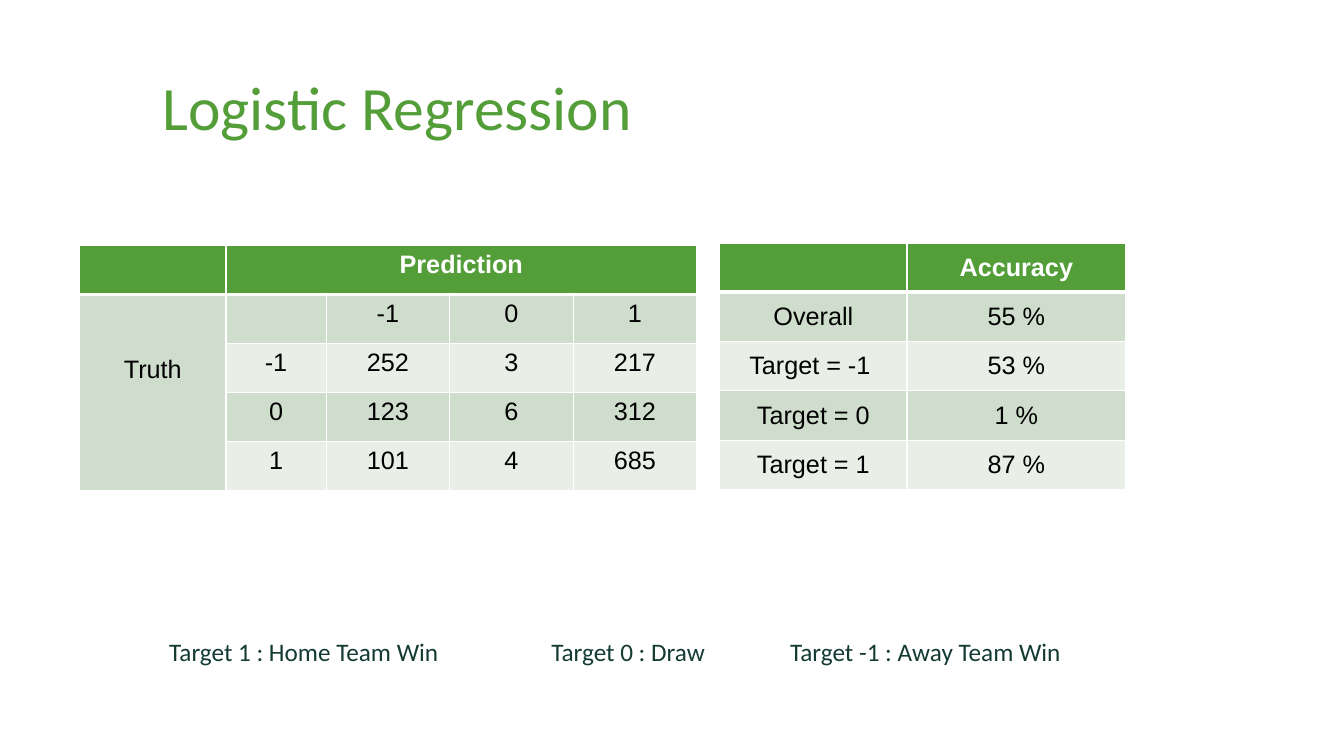
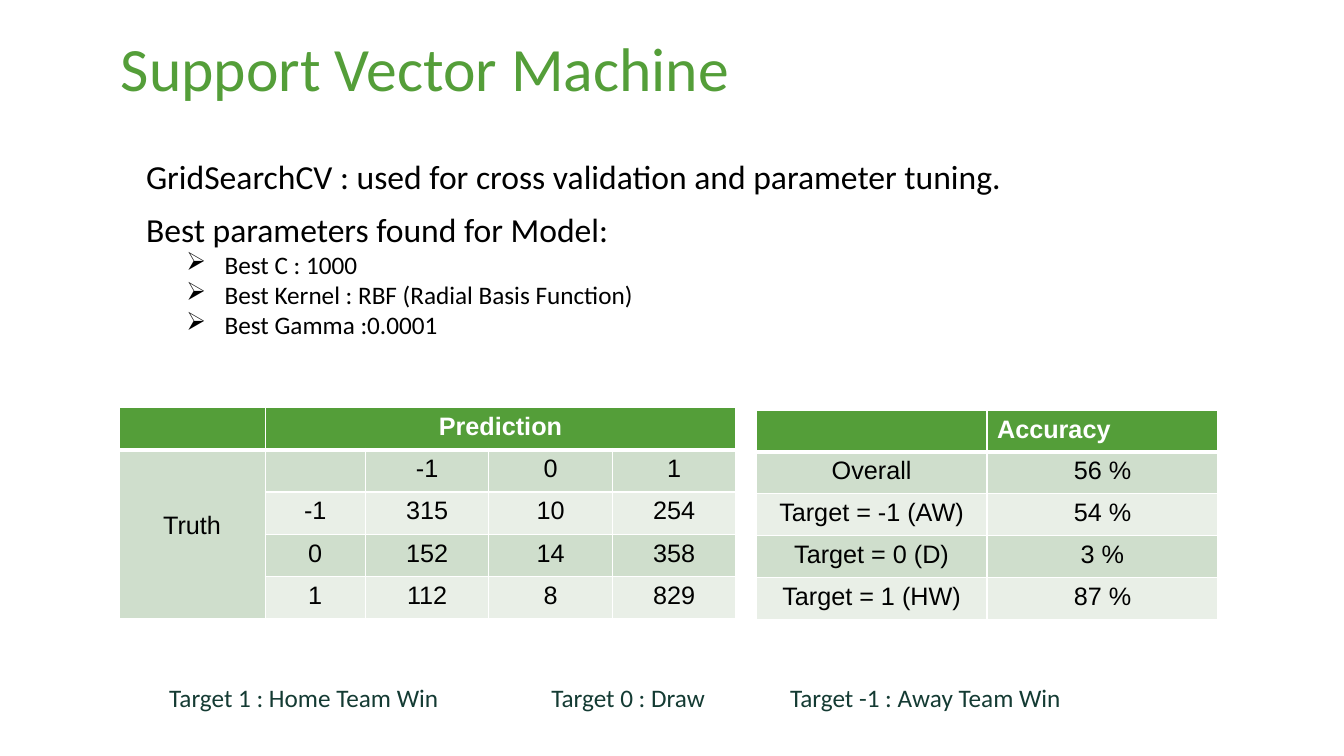
from dataclasses import dataclass
from typing import NamedTuple

from lxml.etree import SubElement
from pptx import Presentation
from pptx.dml.color import RGBColor
from pptx.enum.text import MSO_ANCHOR, PP_ALIGN
from pptx.oxml.ns import qn
from pptx.util import Inches, Pt

WIDTH, HEIGHT = Inches(13.33), Inches(7.5)
TITLE_ONLY = 5


@dataclass(frozen=True)
class Theme:
    """Colours, fonts and type sizes of the deck."""
    green: str = "549E39"
    band_dark: str = "CFDECC"
    band_light: str = "E9EFE7"
    white: str = "FFFFFF"
    black: str = "000000"
    legend: str = "143B33"
    heading_font: str = "Calibri"
    table_font: str = "Arial"
    bullet_font: str = "Wingdings"
    bullet_arrow: str = "Ø"
    title_size: int = 44
    lead_size: int = 24
    text_size: int = 18
    thin_rule: float = 1
    header_rule: float = 3
    tight: float = 0.85


class Box(NamedTuple):
    """Place and size in percent of the slide."""
    left: float
    top: float
    width: float
    height: float


@dataclass(frozen=True)
class Grid:
    """A table: origin, columns and row height in percent of the slide."""
    left: float
    top: float
    columns: tuple[float, ...]
    row: float
    rows: tuple[tuple[str, ...], ...]
    middle: bool = False
    header_align: PP_ALIGN = PP_ALIGN.CENTER


@dataclass(frozen=True)
class Model:
    """The content of one model's slide."""
    title: str
    title_box: Box
    confusion: Grid
    accuracy: Grid
    legend_top: float
    leads: tuple[str, ...] = ()
    parameters: tuple[str, ...] = ()


THEME = Theme()
LEGEND = ("Target 1 : Home Team Win", "Target 0 : Draw", "Target -1 : Away Team Win")
LEGEND_STOPS = (28.43, 46.2)
NOTES_BOX = Box(9.38, 20.8, 81.25, 41.6)
CONFUSION_COLUMNS = (10.88, 7.46, 9.19, 9.19, 9.19)
CLASSES = ("-1", "0", "1")


def across(share: float) -> int:
    """Return a percentage of the slide's width."""
    return round(WIDTH * share / 100)


def down(share: float) -> int:
    """Return a percentage of the slide's height."""
    return round(HEIGHT * share / 100)


def place(box: Box) -> tuple[int, int, int, int]:
    """Return a box as left, top, width and height."""
    return across(box.left), down(box.top), across(box.width), down(box.height)


def style(paragraph, size: int, colour: str, family: str, bold: bool = False) -> None:
    """Set the font of a whole paragraph."""
    font = paragraph.font
    font.size, font.name, font.bold = Pt(size), family, bold
    font.color.rgb = RGBColor.from_string(colour)


def confusion_rows(*counts: tuple[int, ...]) -> tuple[tuple[str, ...], ...]:
    """Return the cells of a confusion matrix with its headings."""
    body = tuple(("", label, *map(str, line)) for label, line in zip(CLASSES, counts))
    return (("", "Prediction", "", "", ""), ("Truth", "", *CLASSES), *body)


def add_colour(parent, colour: str) -> None:
    """Append an RGB colour to an XML element."""
    SubElement(parent, qn("a:srgbClr"), val=colour)


def rule_cell(cell, row: int) -> None:
    """Draw the white rules around a cell."""
    properties = cell._tc.get_or_add_tcPr()
    for side in ("lnL", "lnR", "lnT", "lnB"):
        heavy = row == 0 and side == "lnB"
        points = THEME.header_rule if heavy else THEME.thin_rule
        line = SubElement(properties, qn(f"a:{side}"), w=str(Pt(points)))
        add_colour(SubElement(line, qn("a:solidFill")), THEME.white)


def add_grid(slide, grid: Grid):
    """Draw a banded table and return it."""
    box = Box(grid.left, grid.top, sum(grid.columns), grid.row * len(grid.rows))
    table = slide.shapes.add_table(len(grid.rows), len(grid.columns), *place(box)).table
    for column, share in zip(table.columns, grid.columns):
        column.width = across(share)
    for row, texts in enumerate(grid.rows):
        table.rows[row].height = down(grid.row)
        band = THEME.band_dark if row % 2 else THEME.band_light
        for column, text in enumerate(texts):
            cell = table.cell(row, column)
            rule_cell(cell, row)
            cell.fill.solid()
            cell.fill.fore_color.rgb = RGBColor.from_string(band if row else THEME.green)
            cell.vertical_anchor = MSO_ANCHOR.MIDDLE if grid.middle else MSO_ANCHOR.TOP
            cell.text = text
            paragraph = cell.text_frame.paragraphs[0]
            paragraph.alignment = PP_ALIGN.CENTER if row else grid.header_align
            style(paragraph, THEME.text_size, THEME.black if row else THEME.white,
                  THEME.table_font, bold=row == 0)
    return table


def add_confusion(slide, grid: Grid) -> None:
    """Draw a confusion matrix with merged headings."""
    table = add_grid(slide, grid)
    table.cell(0, 1).merge(table.cell(0, 4))
    truth = table.cell(1, 0)
    truth.merge(table.cell(4, 0))
    truth.margin_top = Inches(0.61)


def add_title(slide, text: str, box: Box) -> None:
    """Place and format the title placeholder."""
    title = slide.shapes.title
    title.left, title.top, title.width, title.height = place(box)
    title.text_frame.text = text
    title.text_frame.vertical_anchor = MSO_ANCHOR.MIDDLE
    paragraph = title.text_frame.paragraphs[0]
    paragraph.alignment, paragraph.line_spacing = PP_ALIGN.LEFT, THEME.tight
    style(paragraph, THEME.title_size, THEME.green, THEME.heading_font)


def add_text(slide, box: Box, lines: tuple[str, ...]):
    """Add a wrapped text box and return its paragraphs."""
    frame = slide.shapes.add_textbox(*place(box)).text_frame
    frame.word_wrap = True
    frame.text = "\n".join(lines)
    return frame.paragraphs


def add_legend(slide, top: float) -> None:
    """Write the meaning of the targets on tab stops."""
    paragraph = add_text(slide, Box(11.85, top, 67.97, 5.33), ("\t".join(LEGEND),))[0]
    stops = SubElement(paragraph._p.get_or_add_pPr(), qn("a:tabLst"))
    for share in LEGEND_STOPS:
        SubElement(stops, qn("a:tab"), pos=str(across(share)), algn="l")
    style(paragraph, THEME.text_size, THEME.legend, THEME.heading_font)


def add_arrow_bullet(properties) -> None:
    """Give a paragraph a hanging arrow bullet."""
    properties.set("marL", str(Inches(0.88)))
    properties.set("indent", str(Inches(-0.38)))
    add_colour(SubElement(properties, qn("a:buClr")), THEME.black)
    SubElement(properties, qn("a:buFont"), typeface=THEME.bullet_font,
               pitchFamily="2", charset="2")
    SubElement(properties, qn("a:buChar"), char=THEME.bullet_arrow)


def add_notes(slide, leads: tuple[str, ...], parameters: tuple[str, ...]) -> None:
    """Write the lead lines and the bulleted parameters."""
    paragraphs = add_text(slide, NOTES_BOX, leads + parameters)
    for index, paragraph in enumerate(paragraphs):
        properties = paragraph._p.get_or_add_pPr()
        if index < len(leads):
            properties.set("marL", str(Inches(0.1)))
            paragraph.line_spacing = THEME.tight
            paragraph.space_before = Pt(13 if index else 0)
            size = THEME.lead_size
        else:
            add_arrow_bullet(properties)
            size = THEME.text_size
        style(paragraph, size, THEME.black, THEME.heading_font)


def add_model(deck, model: Model) -> None:
    """Build the slide of one model."""
    slide = deck.slides.add_slide(deck.slide_layouts[TITLE_ONLY])
    add_title(slide, model.title, model.title_box)
    if model.leads:
        add_notes(slide, model.leads, model.parameters)
    add_confusion(slide, model.confusion)
    add_grid(slide, model.accuracy)
    add_legend(slide, model.legend_top)


MODELS = (
    Model(
        title="Logistic Regression",
        title_box=Box(11.33, 6.4, 67.52, 16.67),
        confusion=Grid(5.93, 32.5, CONFUSION_COLUMNS, 6.47,
                       confusion_rows((252, 3, 217), (123, 6, 312), (101, 4, 685))),
        accuracy=Grid(53.56, 32.13, (13.92, 16.28), 6.53,
                      (("", "Accuracy"), ("Overall", "55 %"), ("Target = -1 ", "53 %"),
                       ("Target = 0", "1 %"), ("Target = 1", "87 %")), middle=True),
        legend_top=83.47,
    ),
    Model(
        title="Support Vector Machine",
        title_box=Box(8.25, 1.87, 81.25, 15.47),
        confusion=Grid(8.85, 53.9, CONFUSION_COLUMNS, 5.6,
                       confusion_rows((315, 10, 254), (152, 14, 358), (112, 8, 829))),
        accuracy=Grid(56.26, 54.27, (17.18, 17.18), 5.53,
                      (("", "Accuracy"), ("Overall", "56 %"), ("Target = -1 (AW)", "54 %"),
                       ("Target = 0 (D)", "3 %"), ("Target = 1 (HW)", "87 %")),
                      header_align=PP_ALIGN.LEFT),
        legend_top=89.6,
        leads=("GridSearchCV : used for cross validation and parameter tuning.",
               "Best parameters found for Model:"),
        parameters=("Best C : 1000", "Best Kernel : RBF (Radial Basis Function)",
                    "Best Gamma :0.0001"),
    ),
)


def main() -> None:
    """Build and save the deck."""
    deck = Presentation()
    deck.slide_width, deck.slide_height = WIDTH, HEIGHT
    for model in MODELS:
        add_model(deck, model)
    deck.save("out.pptx")


if __name__ == "__main__":
    main()
